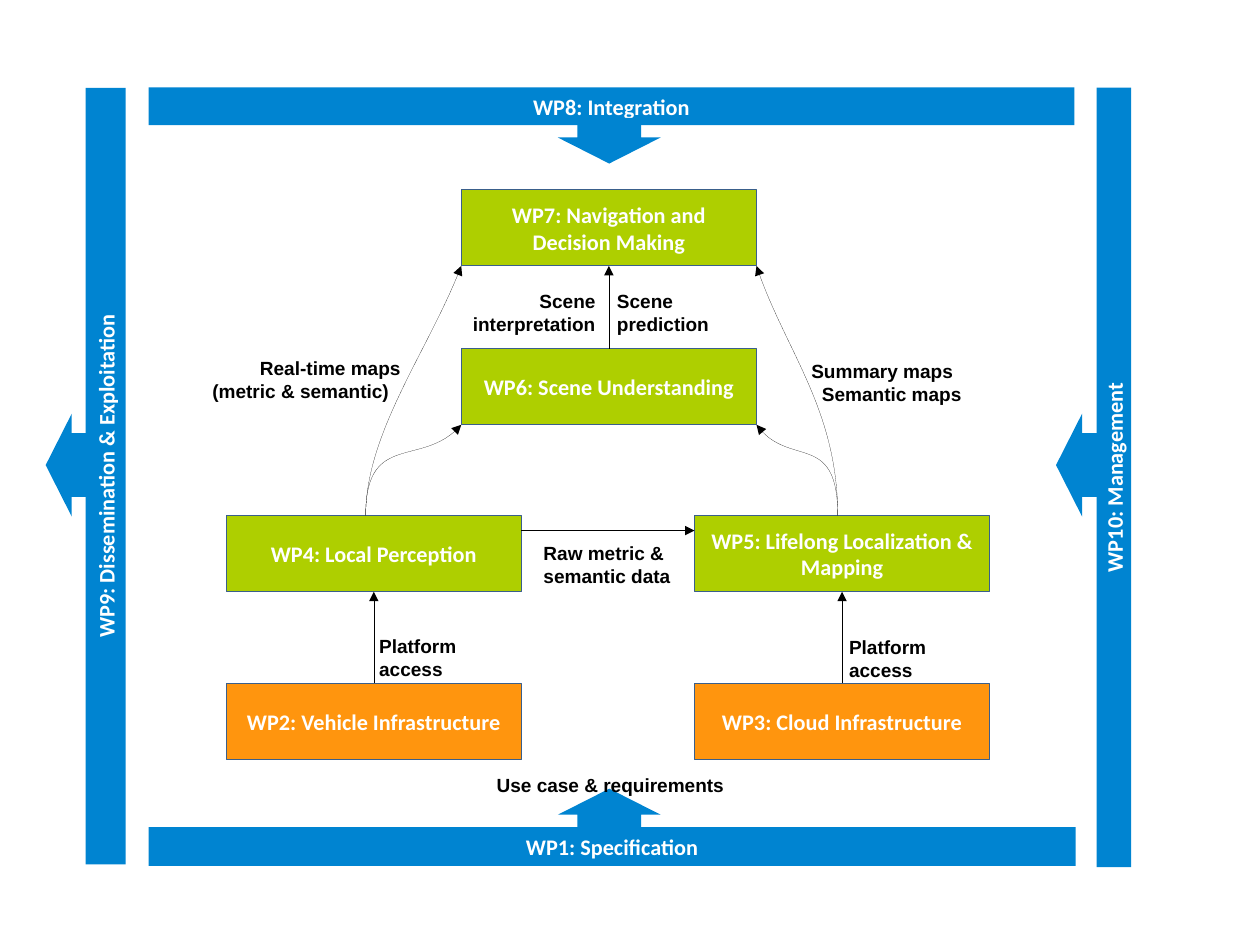
from lxml.etree import SubElement
from pptx import Presentation
from pptx.dml.color import RGBColor
from pptx.enum.shapes import MSO_CONNECTOR, MSO_SHAPE
from pptx.enum.text import MSO_ANCHOR, MSO_AUTO_SIZE, PP_ALIGN
from pptx.oxml.ns import qn
from pptx.util import Pt

BLUE = RGBColor(0x00, 0x84, 0xD1)
GREEN = RGBColor(0xAE, 0xCF, 0x00)
ORANGE = RGBColor(0xFF, 0x95, 0x0E)
OUTLINE = RGBColor(0x3A, 0x5F, 0x8B)
WHITE = RGBColor(0xFF, 0xFF, 0xFF)
BLACK = RGBColor(0x00, 0x00, 0x00)

SLIDE_WIDTH, SLIDE_HEIGHT = 793.75, 595.25

# Content: frame bars as they stand on the slide (text, left, top, width, height)
BARS = [
    ("WP1: Specification", 93.6, 521, 584, 24.4),
    ("WP8: Integration", 93.6, 55, 583.2, 23.8),
    ("WP9: Dissemination & Exploitation", 54, 55.4, 25.2, 489),
    ("WP10: Management", 690.9, 55.2, 21.7, 491),
]

# Block arrows (left, top, rotation)
BLOCK_ARROWS = [
    (28.8, 260.6, 0),
    (665.3, 260.6, 0),
    (369.4, 56.2, 270),
    (369.4, 478.8, 90),
]
ARROW_WIDTH, ARROW_HEIGHT = 28.8, 64.8

# Work packages (text, column, row, fill)
COLUMNS = {"left": 142.5, "middle": 290.6, "right": 437.5}
ROWS = [119.5, 219.6, 324.7, 430.5]
PACKAGE_WIDTH, PACKAGE_HEIGHT = 186, 48
PACKAGES = {
    "WP2": ("WP2: Vehicle Infrastructure", "left", 3, ORANGE),
    "WP3": ("WP3: Cloud Infrastructure", "right", 3, ORANGE),
    "WP4": ("WP4: Local Perception", "left", 2, GREEN),
    "WP5": ("WP5: Lifelong Localization & Mapping", "right", 2, GREEN),
    "WP6": ("WP6: Scene Understanding", "middle", 1, GREEN),
    "WP7": ("WP7: Navigation and Decision Making", "middle", 0, GREEN),
}
UPWARD_LINKS = [("WP2", "WP4"), ("WP3", "WP5"), ("WP6", "WP7")]
DATA_LINK_TOP = 334.2

# Curved links: start, two control points, end
CURVES = [
    [(230.4, 324.7), (230.4, 273.6), (270.7, 219.6), (290.6, 167.5)],
    [(527.8, 324.7), (527.8, 259.2), (493.9, 219.6), (476.6, 167.5)],
    [(230.4, 324.7), (230.4, 273.6), (266.4, 295.2), (290.6, 267.6)],
    [(527.8, 324.7), (527.8, 273.6), (496.8, 295.2), (476.6, 267.6)],
]

# Labels (lines with their indents, left, top, width, height, alignment)
LEFT, RIGHT = PP_ALIGN.LEFT, PP_ALIGN.RIGHT
LABELS = [
    ([("Use case & requirements", 0)], 305.8, 483.8, 160, 21, LEFT),
    ([("Platform", 0), ("access", 0)], 231.8, 396, 66, 34.6, LEFT),
    ([("Platform", 0), ("access", 0)], 527.8, 396.7, 66, 34.6, LEFT),
    ([("Summary maps", 0), ("Semantic maps", 6.7)], 504, 223, 112, 34.6, LEFT),
    ([("Raw metric &", 0), ("semantic data", 0)], 335.3, 337.7, 97, 34.6, LEFT),
    ([("Real-time maps", 30), ("(metric & semantic)", 0)], 126.7, 220.9, 136, 34.6, LEFT),
    ([("Scene", 0), ("prediction", 0)], 381.6, 178.6, 76, 34.6, LEFT),
    ([("Scene", 0), ("interpretation", 0)], 287.3, 178.6, 95, 34.6, RIGHT),
]


def add_run(paragraph, text, size, font_name, color):
    run = paragraph.add_run()
    run.text = text
    run.font.size = Pt(size)
    run.font.name = font_name
    run.font.bold = True
    run.font.color.rgb = color


def add_block(slide, preset, left, top, width, height, fill, text=None):
    shape = slide.shapes.add_shape(preset, Pt(left), Pt(top), Pt(width), Pt(height))
    shape.shadow.inherit = False
    shape.fill.solid()
    shape.fill.fore_color.rgb = fill
    shape.line.fill.background()
    if text:
        frame = shape.text_frame
        frame.word_wrap = True
        frame.vertical_anchor = MSO_ANCHOR.MIDDLE
        frame.margin_left = frame.margin_right = Pt(6.5)
        frame.margin_top = frame.margin_bottom = Pt(3)
        frame.paragraphs[0].alignment = PP_ALIGN.CENTER
        add_run(frame.paragraphs[0], text, 14, "Calibri", WHITE)
    return shape


def add_bar(slide, text, left, top, width, height):
    if width > height:
        add_block(slide, MSO_SHAPE.RECTANGLE, left, top, width, height, BLUE, text)
        return
    # An upright bar is a lying bar turned around its centre
    shift = (height - width) / 2
    bar = add_block(slide, MSO_SHAPE.RECTANGLE, left - shift, top + shift,
                    height, width, BLUE, text)
    bar.rotation = 270


def style_link(link):
    link.line.color.rgb = BLACK
    # A hairline needs its zero width written out
    line = link.line._get_or_add_ln()
    line.set("w", "0")
    SubElement(line, qn("a:tailEnd"), type="triangle")


def add_link(slide, start, end):
    points = [Pt(value) for value in (*start, *end)]
    connector = slide.shapes.add_connector(MSO_CONNECTOR.STRAIGHT, *points)
    style_link(connector)
    SubElement(connector._element.spPr, qn("a:effectLst"))
    return connector


def add_curve(slide, points):
    start, *others = [(Pt(x), Pt(y)) for x, y in points]
    builder = slide.shapes.build_freeform(*start)
    builder.add_line_segments(others, close=False)
    curve = builder.convert_to_shape()
    curve.shadow.inherit = False
    curve.fill.background()
    style_link(curve)
    # Merge the three straight segments into one Bézier segment
    path = curve._element.find(".//" + qn("a:path"))
    segments = path.findall(qn("a:lnTo"))
    bezier = SubElement(path, qn("a:cubicBezTo"))
    for segment in segments:
        bezier.append(segment[0])
        path.remove(segment)


def add_label(slide, lines, left, top, width, height, alignment):
    frame = slide.shapes.add_textbox(Pt(left), Pt(top), Pt(width), Pt(height)).text_frame
    frame.word_wrap = False
    frame.auto_size = MSO_AUTO_SIZE.SHAPE_TO_FIT_TEXT
    for index, (text, indent) in enumerate(lines):
        paragraph = frame.add_paragraph() if index else frame.paragraphs[0]
        paragraph.alignment = alignment
        if indent:
            paragraph._p.get_or_add_pPr().set("marL", str(Pt(indent)))
        add_run(paragraph, text, 12, "Arial", BLACK)


def main():
    presentation = Presentation()
    presentation.slide_width = Pt(SLIDE_WIDTH)
    presentation.slide_height = Pt(SLIDE_HEIGHT)
    slide = presentation.slides.add_slide(presentation.slide_layouts[6])

    # Frame bars and their block arrows
    for bar in BARS:
        add_bar(slide, *bar)
    for left, top, rotation in BLOCK_ARROWS:
        arrow = add_block(slide, MSO_SHAPE.LEFT_ARROW, left, top,
                          ARROW_WIDTH, ARROW_HEIGHT, BLUE)
        arrow.adjustments[0], arrow.adjustments[1] = 0.62, 0.57
        arrow.rotation = rotation

    # Work packages
    boxes = {}
    for name, (text, column, row, fill) in PACKAGES.items():
        box = add_block(slide, MSO_SHAPE.RECTANGLE, COLUMNS[column], ROWS[row],
                        PACKAGE_WIDTH, PACKAGE_HEIGHT, fill, text)
        box.line.color.rgb = OUTLINE
        box.line.width = Pt(0.71)
        boxes[name] = box

    # Links between packages
    for lower, upper in UPWARD_LINKS:
        link = add_link(slide, (0, 0), (0, 0))
        link.begin_connect(boxes[lower], 0)
        link.end_connect(boxes[upper], 2)
    add_link(slide, (COLUMNS["left"] + PACKAGE_WIDTH, DATA_LINK_TOP),
             (COLUMNS["right"], DATA_LINK_TOP))
    for points in CURVES:
        add_curve(slide, points)

    # Link labels
    for label in LABELS:
        add_label(slide, *label)

    presentation.save("out.pptx")


if __name__ == "__main__":
    main()
